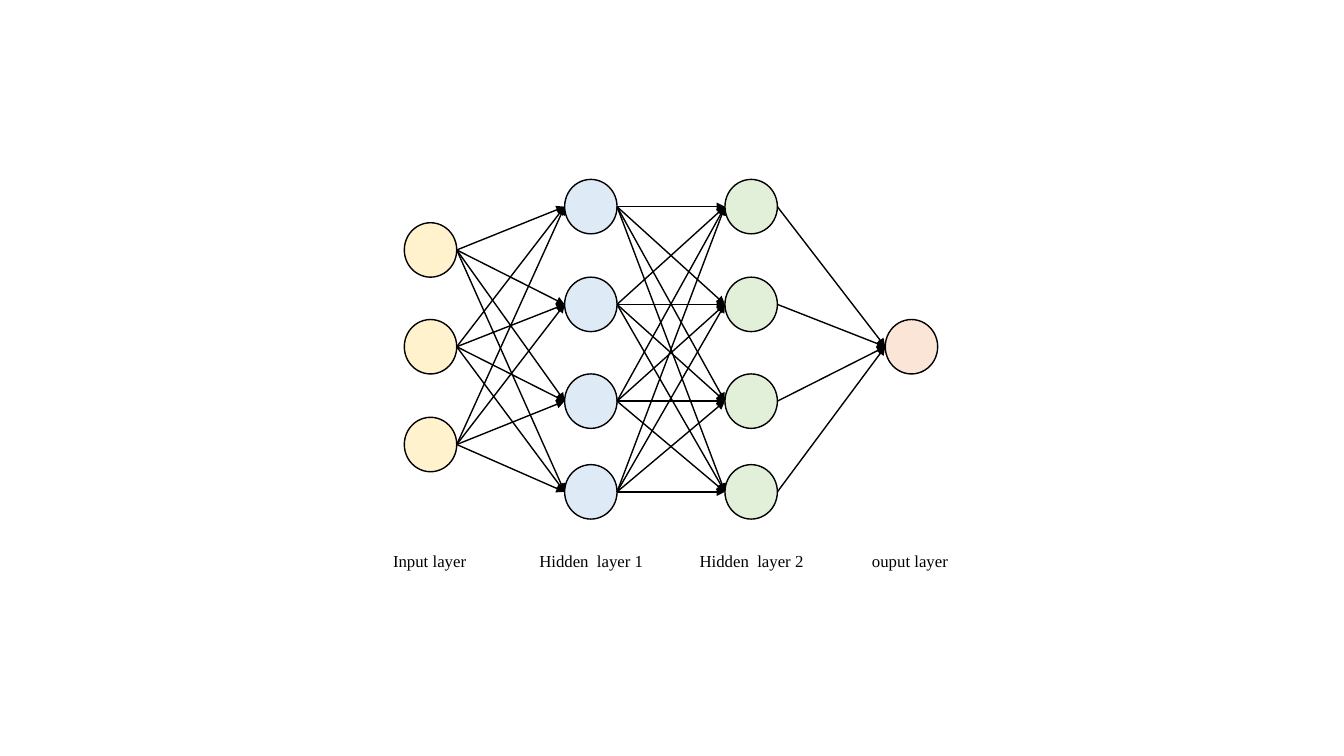
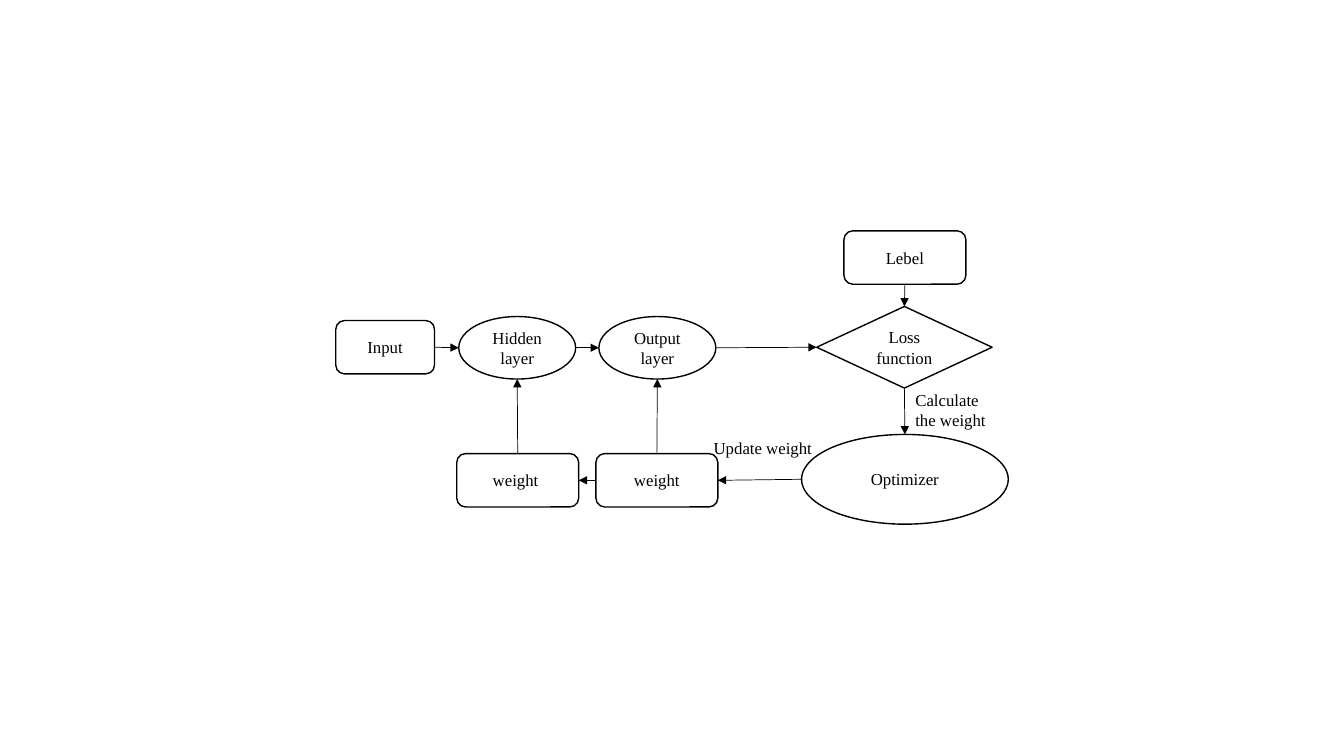
from itertools import pairwise, product

from lxml.etree import SubElement
from pptx import Presentation
from pptx.dml.color import RGBColor
from pptx.enum.shapes import MSO_CONNECTOR as Connector, MSO_SHAPE as Shape
from pptx.enum.text import MSO_ANCHOR as Anchor, MSO_AUTO_SIZE as AutoSize, PP_ALIGN as Align
from pptx.oxml.ns import qn
from pptx.util import Inches, Pt

BLACK = RGBColor(0x00, 0x00, 0x00)
YELLOW = RGBColor(0xFF, 0xF2, 0xCC)
BLUE = RGBColor(0xDE, 0xEB, 0xF7)
GREEN = RGBColor(0xE2, 0xF0, 0xD9)
ORANGE = RGBColor(0xFB, 0xE5, 0xD6)


class Diagram:
    font_name = "Times New Roman"
    font_size = Pt(12)
    outline = Pt(1)

    def __init__(self, deck):
        self.deck = deck
        self.page = None

    def new_page(self):
        self.page = self.deck.slides.add_slide(self.deck.slide_layouts[6])

    def set_text(self, frame, text, align):
        frame.text = text
        for para in frame.paragraphs:
            para.alignment = align
            para.font.name = self.font_name
            para.font.size = self.font_size
            para.font.color.rgb = BLACK

    def node(self, kind, left, top, width, height, text="", fill=None):
        box = self.page.shapes.add_shape(
            kind, Inches(left), Inches(top), Inches(width), Inches(height))
        box.shadow.inherit = False
        if fill is None:
            box.fill.background()
        else:
            box.fill.solid()
            box.fill.fore_color.rgb = fill
        box.line.color.rgb = BLACK
        box.line.width = self.outline
        if text:
            box.text_frame.vertical_anchor = Anchor.MIDDLE
            self.set_text(box.text_frame, text, Align.CENTER)
        return box

    def label(self, left, top, width, height, text):
        box = self.page.shapes.add_textbox(
            Inches(left), Inches(top), Inches(width), Inches(height))
        box.text_frame.word_wrap = False
        box.text_frame.auto_size = AutoSize.SHAPE_TO_FIT_TEXT
        self.set_text(box.text_frame, text, Align.LEFT)

    def arrow(self, start, start_side, end, end_side, weight):
        line = self.page.shapes.add_connector(
            Connector.STRAIGHT, *side_point(start, start_side), *side_point(end, end_side))
        line.line.color.rgb = BLACK
        line.line.width = Pt(weight)
        properties = line._element.spPr
        SubElement(properties.find(qn("a:ln")), qn("a:tailEnd"), type="triangle")
        SubElement(properties, qn("a:effectLst"))


def side_point(box, side):
    across, down = {"left": (0, 0.5), "right": (1, 0.5),
                    "top": (0.5, 0), "bottom": (0.5, 1)}[side]
    return int(box.left + across * box.width), int(box.top + down * box.height)


def build_network(diagram):
    diagram.new_page()
    hidden_tops = [1.78, 2.75, 3.71, 4.61]
    layers = [
        (YELLOW, [2.21, 3.17, 4.14], "Input layer", 3.8, 0.93),
        (BLUE, hidden_tops, "Hidden  layer 1", 5.25, 1.25),
        (GREEN, hidden_tops, "Hidden  layer 2", 6.84, 1.25),
        (ORANGE, [3.17], "ouput layer", 8.55, 0.98),
    ]
    columns = []
    for index, (fill, tops, name, label_left, label_width) in enumerate(layers):
        left = 4.01 + 1.59 * index
        columns.append([diagram.node(Shape.OVAL, left, top, 0.52, 0.54, fill=fill)
                        for top in tops])
        diagram.label(label_left, 5.41, label_width, 0.3, name)
    for sources, targets in pairwise(columns):
        for source, target in product(sources, targets):
            diagram.arrow(source, "right", target, "left", 1)


def build_training_loop(diagram):
    diagram.new_page()
    rounded = Shape.ROUNDED_RECTANGLE
    source = diagram.node(rounded, 3.33, 3.18, 0.98, 0.53, "Input")
    hidden = diagram.node(Shape.OVAL, 4.55, 3.14, 1.16, 0.62, "Hidden layer")
    output = diagram.node(Shape.OVAL, 5.94, 3.14, 1.16, 0.62, "Output layer")
    loss = diagram.node(Shape.DIAMOND, 8.1, 3.04, 1.74, 0.81, "Loss function")
    optimizer = diagram.node(Shape.OVAL, 7.95, 4.31, 2.05, 0.89, "Optimizer")
    hidden_weight = diagram.node(rounded, 4.53, 4.5, 1.21, 0.53, "weight ")
    output_weight = diagram.node(rounded, 5.91, 4.5, 1.21, 0.53, "weight")
    target = diagram.node(rounded, 8.37, 2.29, 1.21, 0.53, "Lebel")
    for start, start_side, end, end_side in [
        (source, "right", hidden, "left"),
        (hidden, "right", output, "left"),
        (output, "right", loss, "left"),
        (target, "bottom", loss, "top"),
        (loss, "bottom", optimizer, "top"),
        (optimizer, "left", output_weight, "right"),
        (output_weight, "left", hidden_weight, "right"),
        (hidden_weight, "top", hidden, "bottom"),
        (output_weight, "top", output, "bottom"),
    ]:
        diagram.arrow(start, start_side, end, end_side, 0.5)
    diagram.label(6.98, 4.29, 1.23, 0.3, "Update weight ")
    diagram.label(8.98, 3.82, 0.95, 0.5, "Calculate \nthe weight ")


deck = Presentation()
deck.slide_width = Inches(13.33)
deck.slide_height = Inches(7.5)
diagram = Diagram(deck)
build_network(diagram)
build_training_loop(diagram)
deck.save("out.pptx")
